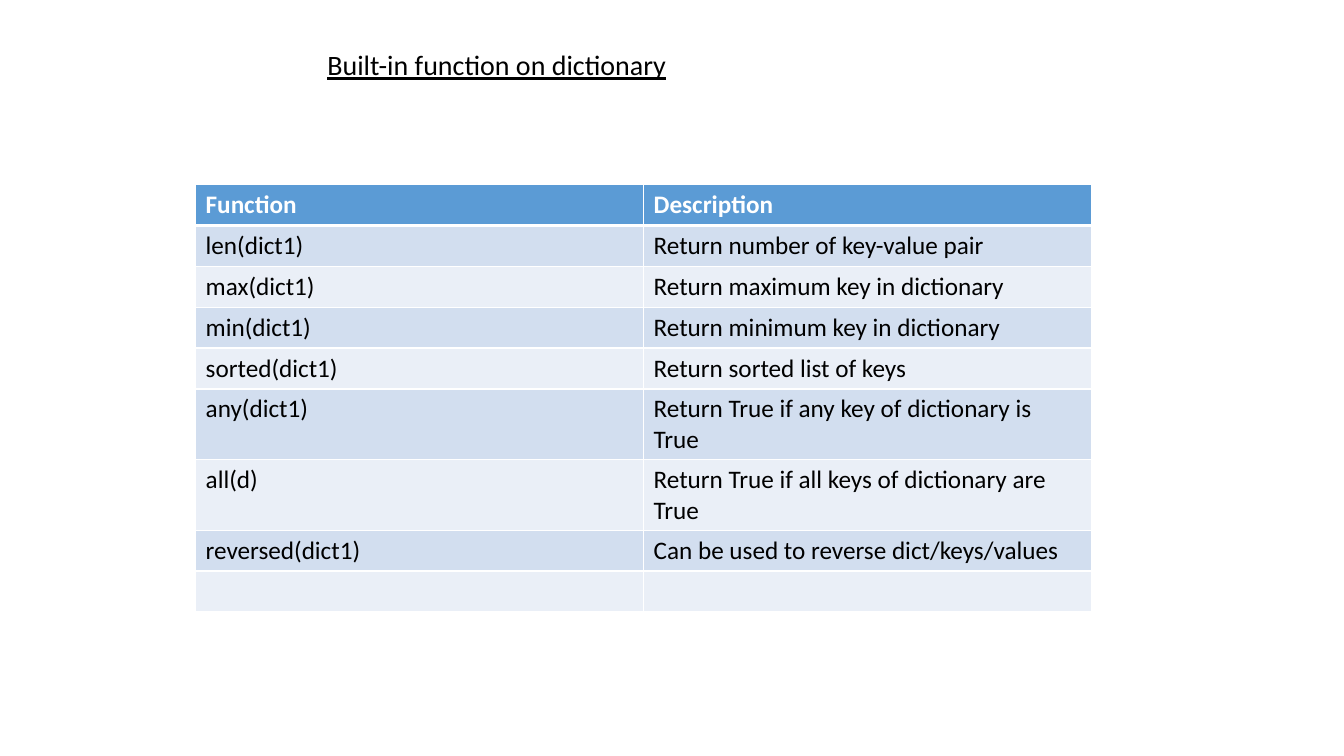
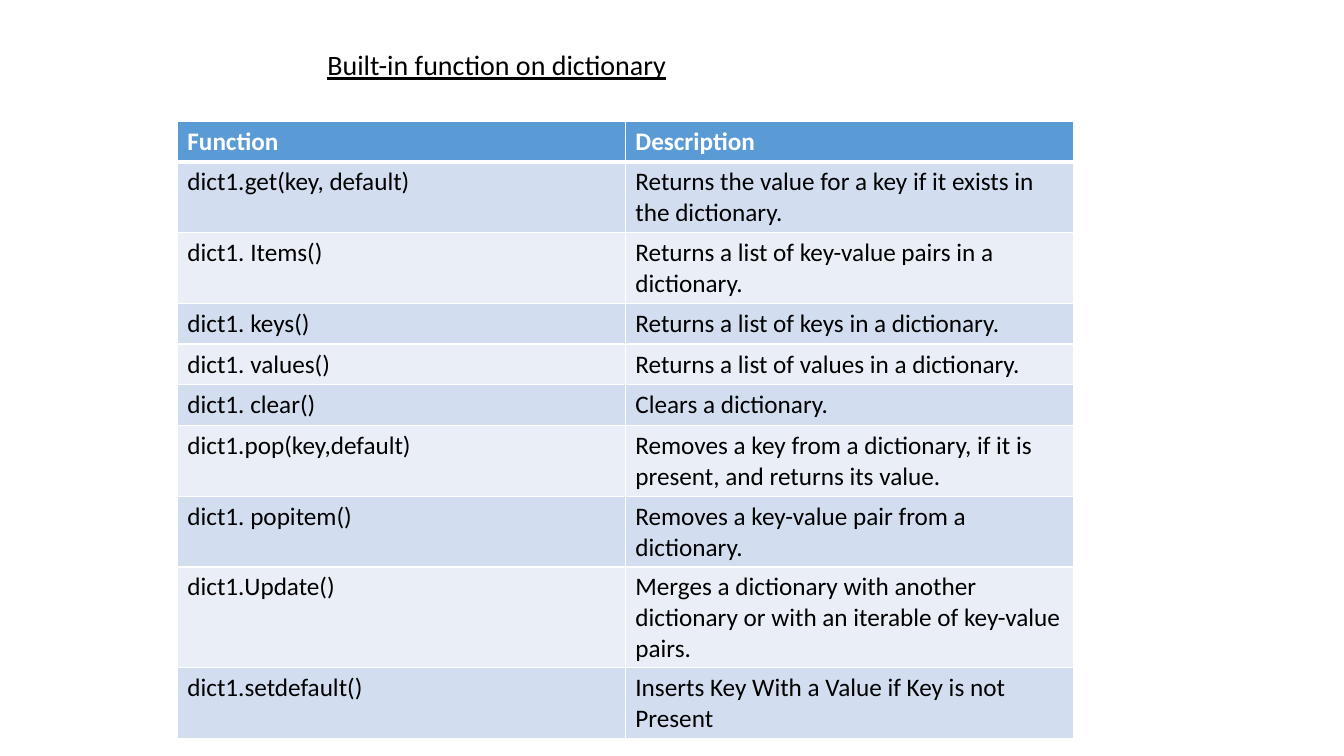
"""Two slides listing the built-in functions and methods of a dictionary."""
from dataclasses import dataclass

from lxml import etree
from pptx import Presentation
from pptx.dml.color import RGBColor
from pptx.enum import text
from pptx.oxml import ns
from pptx.util import Cm, Pt


@dataclass(frozen=True)
class Theme:
    """Colours, font and type sizes shared by the slides."""
    font: str = "Calibri"
    title_size: int = 20
    table_size: int = 18
    ink: str = "000000"
    paper: str = "FFFFFF"
    header: str = "5B9BD5"
    bands: tuple = ("D2DEEF", "EAEFF7")
    rule: int = 1
    header_rule: int = 3


THEME = Theme()
HEADING = "Built-in function on dictionary"
COLUMNS = ("Function", "Description")
COLUMN_WIDTH, ROW_HEIGHT = Cm(11.29), Cm(1.03)

FUNCTIONS = [
    ("len(dict1)", "Return number of key-value pair"),
    ("max(dict1)", "Return maximum key in dictionary"),
    ("min(dict1)", "Return minimum key in dictionary"),
    ("sorted(dict1)", "Return sorted list of keys"),
    ("any(dict1)", "Return True if any key of dictionary is True"),
    ("all(d)", "Return True if all keys of dictionary are True"),
    ("reversed(dict1)", "Can be used to reverse dict/keys/values"),
    ("", ""),
]
METHODS = [
    ("dict1.get(key, default)",
     "Returns the value for a key if it exists in the dictionary."),
    ("dict1. Items()", "Returns a list of key-value pairs in a dictionary."),
    ("dict1. keys()", "Returns a list of keys in a dictionary."),
    ("dict1. values()", "Returns a list of values in a dictionary."),
    ("dict1. clear()", "Clears a dictionary."),
    ("dict1.pop(key,default)",
     "Removes a key from a dictionary, if it is present, and returns its value."),
    ("dict1. popitem()", "Removes a key-value pair from a dictionary."),
    ("dict1.Update()",
     "Merges a dictionary with another dictionary or with an iterable of "
     "key-value pairs."),
    ("dict1.setdefault()", "Inserts Key With a Value if Key is not Present"),
]


def style_font(paragraph, size, colour, bold=False, underline=False):
    """Set the font of a whole paragraph."""
    font = paragraph.font
    font.name, font.size = THEME.font, Pt(size)
    font.bold, font.underline = bold, underline
    font.color.rgb = RGBColor.from_string(colour)


def add_heading(slide):
    """Add the underlined heading."""
    heading = slide.shapes.add_textbox(Cm(8), Cm(0.64), Cm(12.5), Cm(2.08))
    frame = heading.text_frame
    frame.word_wrap = True
    frame.vertical_anchor = text.MSO_ANCHOR.MIDDLE
    frame.text = HEADING
    line = frame.paragraphs[0]
    line.line_spacing = 0.9
    style_font(line, THEME.title_size, THEME.ink, underline=True)


def add_borders(cell, top, bottom):
    """Rule all four sides of a cell; top and bottom are widths in points."""
    properties = cell._tc.get_or_add_tcPr()
    widths = {"lnL": THEME.rule, "lnR": THEME.rule, "lnT": top, "lnB": bottom}
    for side, width in widths.items():
        rule = etree.SubElement(properties, ns.qn(f"a:{side}"), w=str(Pt(width)))
        fill = etree.SubElement(rule, ns.qn("a:solidFill"))
        etree.SubElement(fill, ns.qn("a:srgbClr"), val=THEME.paper)


def fill_cell(cell, content, row):
    """Write and style one cell according to its row number."""
    is_header = row == 0
    add_borders(cell,
                top=THEME.header_rule if row == 1 else THEME.rule,
                bottom=THEME.header_rule if is_header else THEME.rule)
    colour = THEME.header if is_header else THEME.bands[(row - 1) % 2]
    cell.fill.solid()
    cell.fill.fore_color.rgb = RGBColor.from_string(colour)
    cell.text = content
    style_font(cell.text_frame.paragraphs[0], THEME.table_size,
               THEME.paper if is_header else THEME.ink, bold=is_header)


def add_reference(slide, left, top, entries):
    """Add the banded table of entries under its column headers."""
    rows = [COLUMNS, *entries]
    frame = slide.shapes.add_table(
        len(rows), len(COLUMNS), left, top,
        COLUMN_WIDTH * len(COLUMNS), ROW_HEIGHT * len(rows))
    for row, contents in enumerate(rows):
        for column, content in enumerate(contents):
            fill_cell(frame.table.cell(row, column), content, row)


def main():
    """Build and save the presentation."""
    deck = Presentation()
    deck.slide_width, deck.slide_height = Cm(33.87), Cm(19.05)
    for left, top, entries in ((Cm(4.93), Cm(4.65), FUNCTIONS),
                               (Cm(4.47), Cm(3.05), METHODS)):
        slide = deck.slides.add_slide(deck.slide_layouts[6])
        add_heading(slide)
        add_reference(slide, left, top, entries)
    deck.save("out.pptx")


main()
